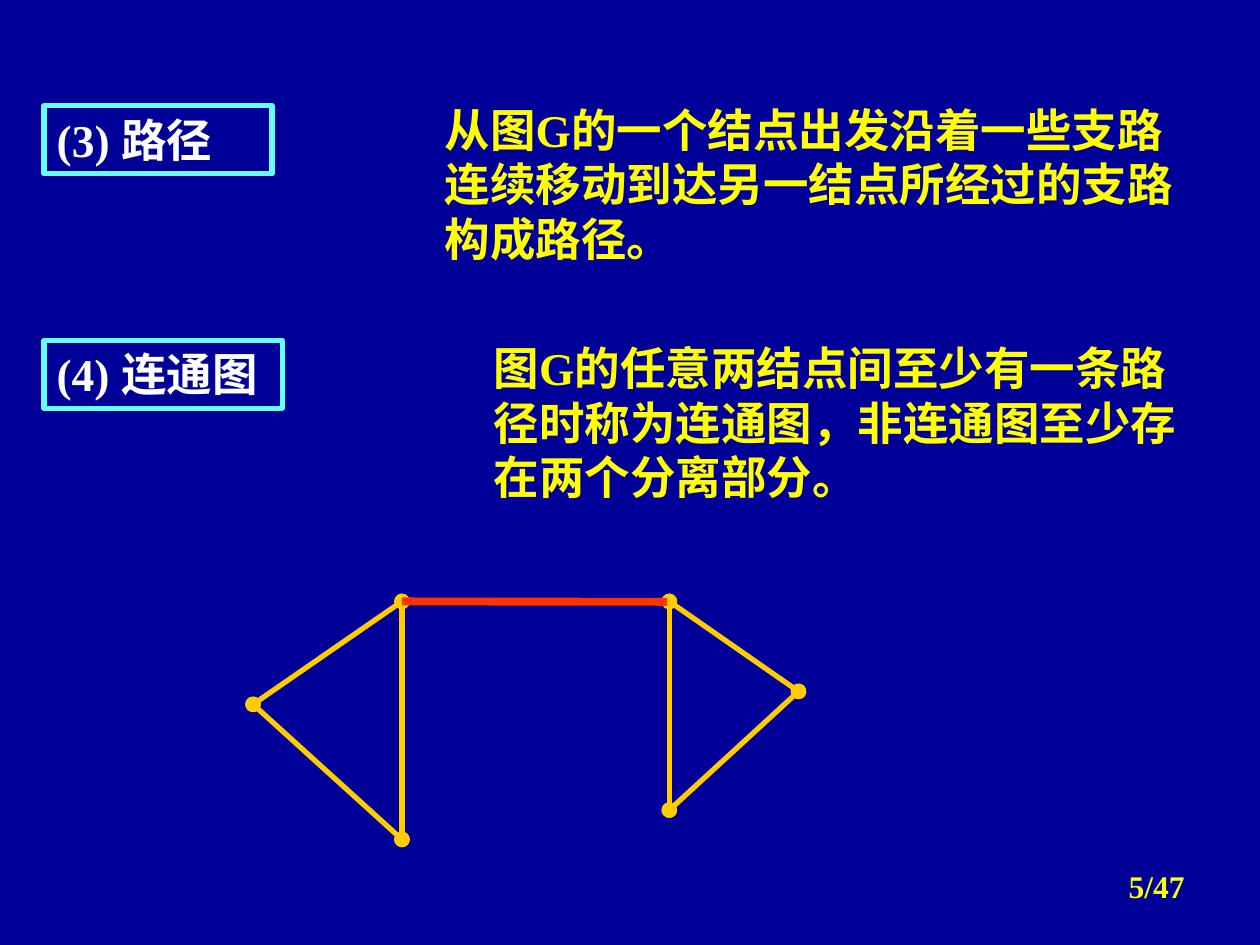
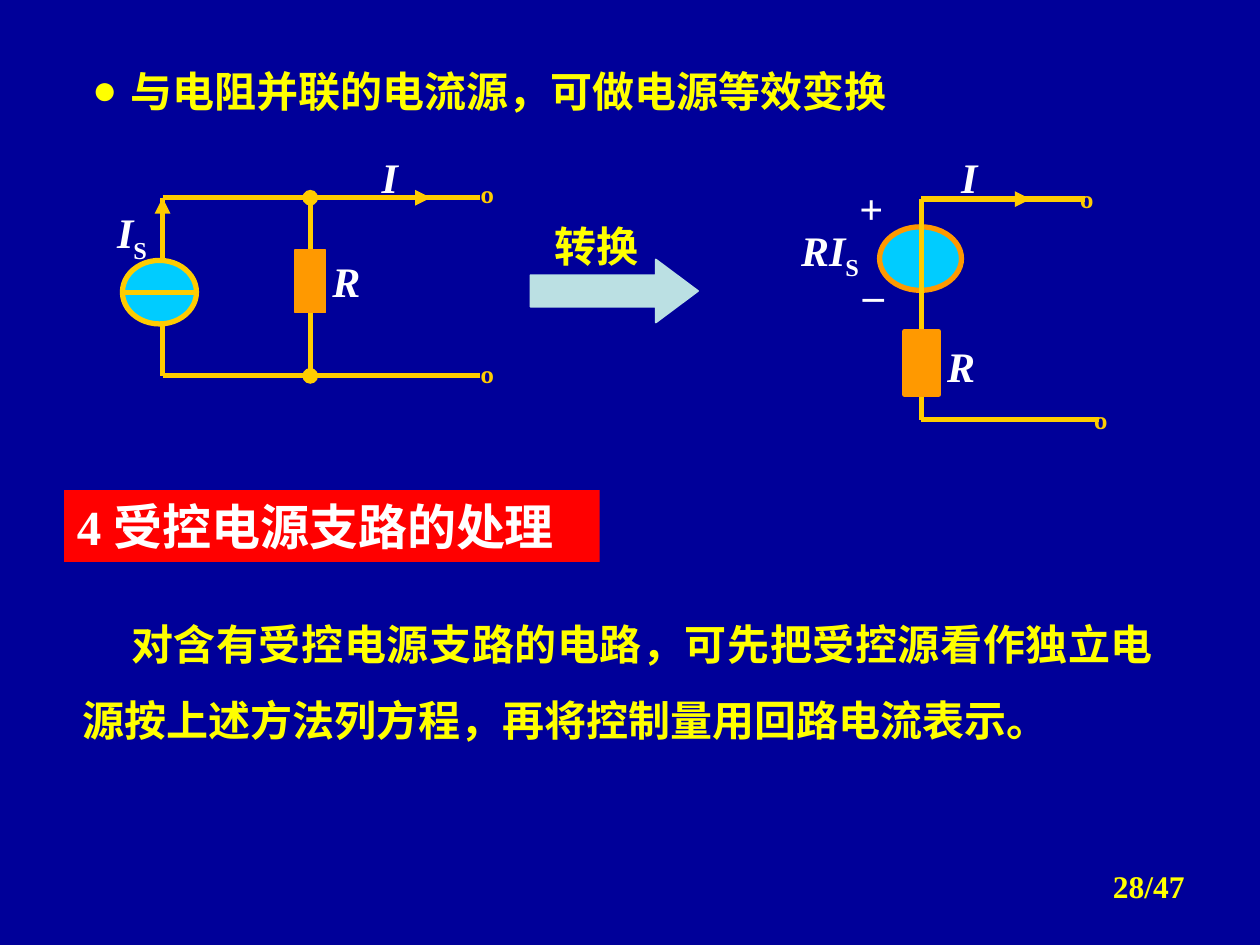
from lxml.etree import SubElement
from pptx import Presentation
from pptx.dml.color import RGBColor
from pptx.enum.shapes import MSO_CONNECTOR as Conn, MSO_SHAPE as Shape
from pptx.enum.text import MSO_ANCHOR as Anchor, MSO_AUTO_SIZE as AutoSize, PP_ALIGN as Align
from pptx.oxml.ns import qn
from pptx.util import Pt

# Shared style
FONT = "Times New Roman"
NAVY, YELLOW, WHITE = "000099", "FFFF00", "FFFFFF"
GOLD, ORANGE, CYAN, AQUA = "FFCC00", "FF9900", "00CCFF", "66FFFF"
RED, SCARLET, PALE = "FF0000", "FF3300", "BBE0E3"
PAGES = 47
TITLE_ONLY, TITLE_AND_BODY = 5, 1


def rgb(color):
    return RGBColor.from_string(color)


class Deck:
    """Holds the presentation, its style and the current slide."""

    def __init__(self):
        self.prs = Presentation()
        self.prs.slide_width, self.prs.slide_height = Pt(720), Pt(540)
        fill = self.prs.slide_master.background.fill
        fill.solid()
        fill.fore_color.rgb = rgb(NAVY)

    def new_slide(self, layout, page):
        self.slide = self.prs.slides.add_slide(self.prs.slide_layouts[layout])
        self.shapes = self.slide.shapes
        self.text(f"{page}/{PAGES}", (516, 492, 168, 37.5), 18, align=Align.RIGHT)

    def place(self, sp, box):
        sp.left, sp.top, sp.width, sp.height = map(Pt, box)

    def paint(self, sp, fill=None, line=None, width=3):
        if fill:
            sp.fill.solid()
            sp.fill.fore_color.rgb = rgb(fill)
        else:
            sp.fill.background()
        if line:
            sp.line.color.rgb = rgb(line)
            sp.line.width = Pt(width)
        else:
            sp.line.fill.background()

    def set_text(self, sp, text, size, color=YELLOW, align=Align.LEFT,
                 anchor=Anchor.TOP, italic=False, sub=""):
        tf = sp.text_frame
        tf.word_wrap = True
        tf.auto_size = AutoSize.NONE
        tf.vertical_anchor = anchor
        p = tf.paragraphs[0]
        p.alignment = align
        p.space_before = Pt(0)
        for part, is_sub in ((text, False), (sub, True)):
            if not part:
                continue
            r = p.add_run()
            r.text = part
            f = r.font
            f.name, f.size, f.bold = FONT, Pt(size), True
            f.italic = italic and not is_sub
            f.color.rgb = rgb(color)
            if is_sub:
                r._r.get_or_add_rPr().set("baseline", "-25000")
        return p

    def text(self, text, box, size=24, **style):
        return self.set_text(self.shapes.add_textbox(*map(Pt, box)), text, size, **style)

    def symbol(self, text, box, color=WHITE):
        self.text(text, box, color=color, align=Align.CENTER, anchor=Anchor.MIDDLE)

    def quantity(self, name, box, sub=""):
        self.text(name, box, color=WHITE, italic=True, sub=sub)

    def title(self, text, box, size, fill=None, line=None):
        sp = self.shapes.title
        self.place(sp, box)
        self.paint(sp, fill, line)
        self.set_text(sp, text, size, WHITE)

    def bullet(self, text, box, hang):
        sp = self.slide.placeholders[1]
        self.place(sp, box)
        p = sp.text_frame.paragraphs[0]
        self.indent(p, hang, -hang)
        pPr = p._p.get_or_add_pPr()
        SubElement(SubElement(pPr, qn("a:buClr")), qn("a:srgbClr"), val=YELLOW)
        SubElement(pPr, qn("a:buFont"), typeface=FONT)
        SubElement(pPr, qn("a:buChar"), char="●")
        self.set_text(sp, text, 24)

    def indent(self, p, left, first):
        pPr = p._p.get_or_add_pPr()
        pPr.set("marL", str(int(Pt(left))))
        pPr.set("indent", str(int(Pt(first))))

    def shape(self, kind, box, fill=None, line=None, width=3):
        sp = self.shapes.add_shape(kind, *map(Pt, box))
        sp.shadow.inherit = False
        self.paint(sp, fill, line, width)
        return sp

    def wire(self, start, end, color=GOLD, width=3, head=None, tail=None):
        c = self.shapes.add_connector(Conn.STRAIGHT, *map(Pt, (*start, *end)))
        c.line.color.rgb = rgb(color)
        c.line.width = Pt(width)
        spPr = c._element.spPr
        for tag, kind in (("a:headEnd", head), ("a:tailEnd", tail)):
            if kind:
                SubElement(spPr.find(qn("a:ln")), qn(tag), type=kind)
        SubElement(spPr, qn("a:effectLst"))


def path_slide(d):
    d.new_slide(TITLE_ONLY, 5)

    # Terms and definitions
    d.title("(3) 路径", (25.2, 60.5, 130.3, 38.9), 26, line=AQUA)
    d.text("从图G的一个结点出发沿着一些支路连续移动到达另一结点所经过的支路构成路径。",
           (247, 54.7, 448, 101), 26)
    term = d.shape(Shape.RECTANGLE, (25.2, 194.4, 136.1, 38.9), line=AQUA)
    d.set_text(term, "(4) 连通图", 26, WHITE)
    d.text("图G的任意两结点间至少有一条路径时称为连通图，非连通图至少存在两个分离部分。",
           (275, 190.8, 408.2, 101), 26)

    # Two triangles joined by a bridge
    left_top, right_top = (229.7, 343.7), (382.5, 343.7)
    for nodes in ((left_top, (144.6, 402.5), (229.7, 479.7)),
                  (right_top, (456.3, 395.1), (382.5, 462.9))):
        for i, node in enumerate(nodes):
            d.wire(node, nodes[i - 1], head="oval", tail="oval")
    d.wire(left_top, (381.2, 343.9), SCARLET, 4.5)


def current_source(d):
    top, bottom, source_x, r_x, end_x = 113, 214.8, 92.9, 177.3, 274.3
    for y in (top, bottom):
        d.wire((source_x, y), (end_x, y))
    d.wire((source_x, top), (source_x, bottom))
    d.shape(Shape.OVAL, (70, 148.8, 42.3, 36.3), CYAN, GOLD)
    d.wire((70, 167), (112.3, 167))
    d.wire((source_x, 142.6), (source_x, top), tail="triangle")
    d.wire((r_x, bottom), (r_x, top), head="oval", tail="oval")
    d.shape(Shape.RECTANGLE, (168.5, 142.7, 17.5, 36), ORANGE, ORANGE, 1)
    d.wire((r_x, top), (246.2, top), tail="triangle")
    d.quantity("I", (211, 82.8, 35.3, 36))
    d.quantity("R", (182.9, 142.6, 31.7, 36))
    d.quantity("I", (59.8, 114.5, 42.5, 40.3), sub="S")
    for y in (97.9, 200.9):
        d.symbol("º", (267.5, y, 17.3, 36), GOLD)


def voltage_source(d):
    x, top, bottom = 526.5, 113.8, 239.8
    d.shape(Shape.OVAL, (502.6, 129.6, 46.8, 36.3), CYAN, ORANGE)
    d.symbol("+", (483.8, 100.8, 28.1, 36))
    d.symbol("_", (481.7, 141.8, 34.6, 36))
    d.quantity("RI", (450.7, 124.6, 64.1, 40.3), sub="S")
    d.wire((x, top), (x, bottom))
    for y, end_x in ((top, 619.9), (bottom, 627.8)):
        d.wire((x, y), (end_x, y))
        d.symbol("º", (end_x - 10, y - 13, 22.3, 36), GOLD)
    d.wire((x, top), (589, top), tail="triangle")
    d.quantity("I", (542.2, 82.8, 38.9, 36))
    d.shape(Shape.RECTANGLE, (517, 189.4, 19.4, 36), ORANGE, ORANGE)
    d.quantity("R", (534.2, 190.8, 120.2, 36))


def source_slide(d):
    d.new_slide(TITLE_AND_BODY, 28)
    d.bullet("与电阻并联的电流源，可做电源等效变换", (45.4, 33.8, 476.6, 36), 22)

    # Equivalent circuits
    current_source(d)
    arrow = d.shape(Shape.RIGHT_ARROW, (303.1, 148.3, 95.8, 36), PALE, PALE, 1)
    arrow.adjustments[1] = 0.67
    d.text("转换", (309.6, 122.4, 66.2, 36))
    voltage_source(d)

    # Controlled sources
    d.title("4 受控电源支路的处理", (36.7, 280.1, 306, 41), 28, fill=RED)
    p = d.text("对含有受控电源支路的电路，可先把受控源看作独立电源按上述方法列方程，"
               "再将控制量用回路电流表示。", (2.9, 335.5, 663.1, 93.6), align=Align.JUSTIFY)
    p.line_spacing = 1.5
    d.indent(p, 37.4, 27.5)


def main():
    d = Deck()
    path_slide(d)
    source_slide(d)
    d.prs.save("out.pptx")


if __name__ == "__main__":
    main()
